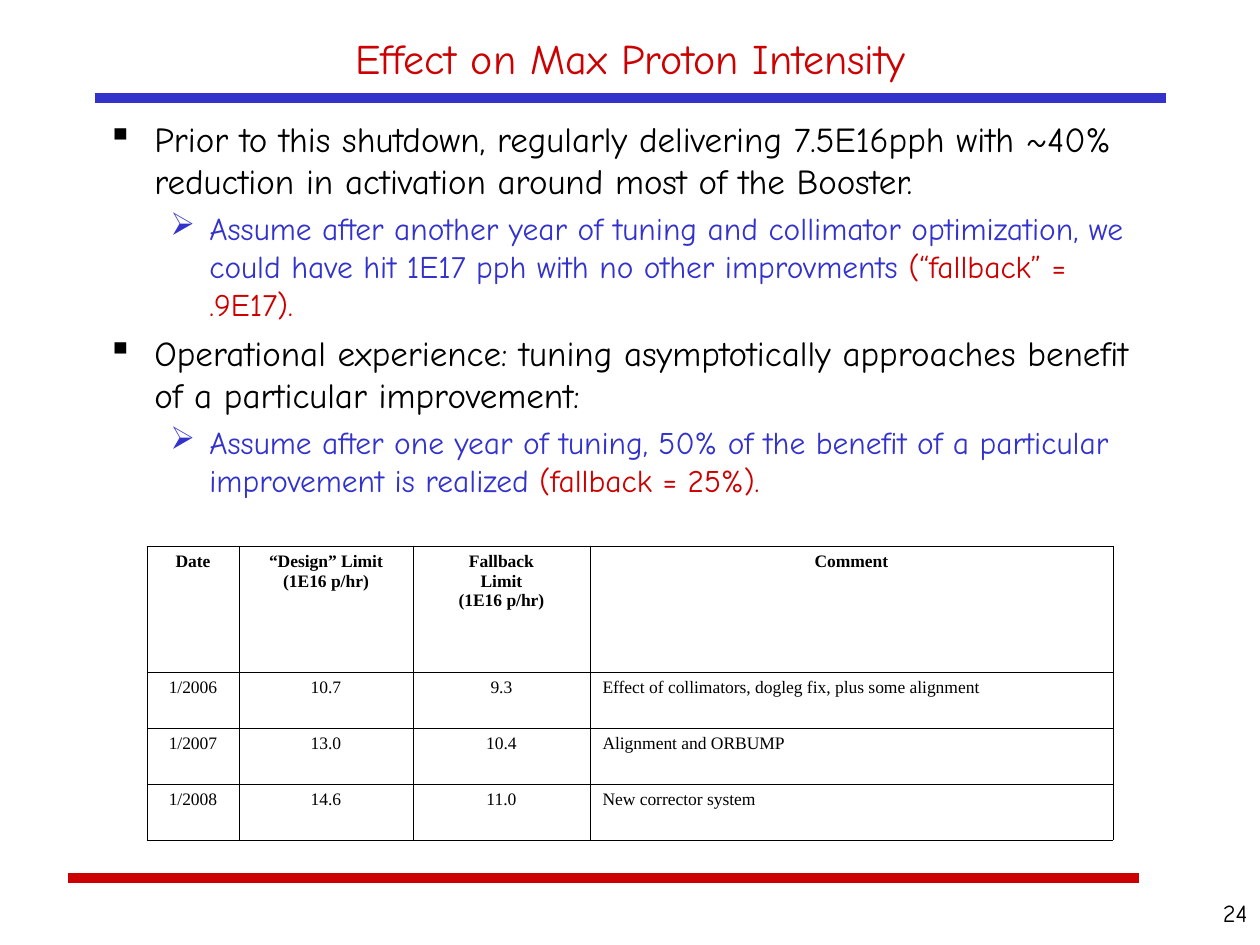
from dataclasses import dataclass

from lxml import etree
from pptx import Presentation
from pptx.dml.color import RGBColor
from pptx.enum.shapes import MSO_CONNECTOR
from pptx.enum.text import MSO_ANCHOR, PP_ALIGN
from pptx.oxml.ns import qn
from pptx.util import Emu, Pt

STRAIGHT = MSO_CONNECTOR.STRAIGHT
MIDDLE = MSO_ANCHOR.MIDDLE
LEFT, CENTER, RIGHT = PP_ALIGN.LEFT, PP_ALIGN.CENTER, PP_ALIGN.RIGHT
EMU_PER_PX = 914400 / 126


@dataclass(frozen=True)
class Theme:
    black: str = "000000"
    blue: str = "3333CC"
    red: str = "CC0000"
    font: str = "Comic Neue"
    table_font: str = "Times New Roman"
    title_size: int = 24
    point_size: int = 20
    detail_size: int = 18
    number_size: int = 14
    table_size: int = 10
    rule_width: int = 6
    border_width: float = 0.45


@dataclass(frozen=True)
class Level:
    bullet: str
    color: str
    size: int
    space_before: float
    indent: int
    hanging: int


@dataclass(frozen=True)
class Point:
    level: Level
    text: str
    fallback: str = ""


@dataclass(frozen=True)
class Rule:
    left: int
    y: int
    color: str


THEME = Theme()
MAIN = Level("▪", THEME.black, THEME.point_size, 5, 47, 47)
DETAIL = Level("➢", THEME.blue, THEME.detail_size, 4.5, 102, 39)

RULE_LENGTH = 1071
RULES = [Rule(68, 878, THEME.red), Rule(95, 98, THEME.blue)]

POINTS = [
    Point(MAIN, "Prior to this shutdown, regularly delivering 7.5E16pph with ~40% "
                "reduction in activation around most of the Booster."),
    Point(DETAIL, "Assume after another year of tuning and collimator optimization, we "
                  "could have hit 1E17 pph with no other improvments ",
          "(“fallback” = .9E17)."),
    Point(MAIN, "Operational experience: tuning asymptotically approaches benefit "
                "of a particular improvement:"),
    Point(DETAIL, "Assume after one year of tuning, 50% of the benefit of a particular "
                  "improvement is realized ", "(fallback = 25%)."),
]

LIMITS = [
    ("Date", "“Design” Limit\n(1E16 p/hr)", "Fallback\nLimit\n(1E16 p/hr)", "Comment"),
    ("1/2006", "10.7", "9.3", "Effect of collimators, dogleg fix, plus some alignment"),
    ("1/2007", "13.0", "10.4", "Alignment and ORBUMP"),
    ("1/2008", "14.6", "11.0", "New corrector system"),
]
COLUMN_WIDTHS = [92, 174, 177, 523]
ROW_HEIGHTS = [126, 56, 56, 56]


def px(length: int) -> Emu:
    return Emu(round(length * EMU_PER_PX))


def style(paragraph, size: int, color: str, font: str = THEME.font,
          bold: bool = False, align=LEFT) -> None:
    paragraph.alignment = align
    paragraph.font.name = font
    paragraph.font.size = Pt(size)
    paragraph.font.bold = bold
    paragraph.font.color.rgb = RGBColor.from_string(color)


def place(shape, left: int, top: int, width: int, height: int) -> None:
    shape.left, shape.top = px(left), px(top)
    shape.width, shape.height = px(width), px(height)


def add_rule(slide, rule: Rule) -> None:
    line = slide.shapes.add_connector(
        STRAIGHT, px(rule.left), px(rule.y), px(rule.left + RULE_LENGTH), px(rule.y))
    line.line.color.rgb = RGBColor.from_string(rule.color)
    line.line.width = Pt(THEME.rule_width)
    etree.SubElement(line._element.spPr, qn("a:effectLst"))


def add_title(slide, text: str) -> None:
    title = slide.shapes.title
    place(title, 95, 21, 1071, 73)
    title.text_frame.vertical_anchor = MIDDLE
    heading = title.text_frame.paragraphs[0]
    heading.text = text
    style(heading, THEME.title_size, THEME.red, align=CENTER)


def add_bullet(paragraph, level: Level) -> None:
    properties = paragraph._p.get_or_add_pPr()
    properties.set("marL", str(px(level.indent)))
    properties.set("indent", str(-px(level.hanging)))
    bullet_color = etree.SubElement(properties, qn("a:buClr"))
    etree.SubElement(bullet_color, qn("a:srgbClr"), val=level.color)
    etree.SubElement(properties, qn("a:buChar"), char=level.bullet)


def add_points(slide, points: list[Point]) -> None:
    body = slide.shapes.add_textbox(px(95), px(111), px(1071), px(436)).text_frame
    body.word_wrap = True
    for index, point in enumerate(points):
        paragraph = body.add_paragraph() if index else body.paragraphs[0]
        add_bullet(paragraph, point.level)
        if index:
            paragraph.space_before = Pt(point.level.space_before)
        style(paragraph, point.level.size, point.level.color)
        paragraph.add_run().text = point.text
        if point.fallback:
            fallback = paragraph.add_run()
            fallback.text = point.fallback
            fallback.font.color.rgb = RGBColor.from_string(THEME.red)


def add_borders(cell) -> None:
    properties = cell._tc.get_or_add_tcPr()
    for index, side in enumerate(("a:lnL", "a:lnR", "a:lnT", "a:lnB")):
        border = etree.Element(qn(side), w=str(Pt(THEME.border_width)))
        fill = etree.SubElement(border, qn("a:solidFill"))
        etree.SubElement(fill, qn("a:srgbClr"), val=THEME.black)
        properties.insert(index, border)


def add_limits_table(slide) -> None:
    table = slide.shapes.add_table(
        len(ROW_HEIGHTS), len(COLUMN_WIDTHS), px(147), px(546),
        px(sum(COLUMN_WIDTHS)), px(sum(ROW_HEIGHTS))).table
    table.first_row = table.horz_banding = False
    for column, width in zip(table.columns, COLUMN_WIDTHS):
        column.width = px(width)
    for row, height in zip(table.rows, ROW_HEIGHTS):
        row.height = px(height)
    for r, values in enumerate(LIMITS):
        for c, value in enumerate(values):
            cell = table.cell(r, c)
            cell.fill.background()
            add_borders(cell)
            entry = cell.text_frame.paragraphs[0]
            entry.text = value
            is_header, is_comment = r == 0, c == len(values) - 1
            style(entry, THEME.table_size, THEME.black, THEME.table_font, is_header,
                  LEFT if is_comment and not is_header else CENTER)


def add_page_number(slide, number: str) -> None:
    frame = slide.shapes.add_textbox(px(1144), px(892), px(116), px(53)).text_frame
    frame.word_wrap = True
    frame.paragraphs[0].text = number
    style(frame.paragraphs[0], THEME.number_size, THEME.black, align=RIGHT)


def main() -> None:
    presentation = Presentation()
    presentation.slide_width, presentation.slide_height = px(1260), px(945)
    slide = presentation.slides.add_slide(presentation.slide_layouts[5])
    for rule in RULES:
        add_rule(slide, rule)
    add_title(slide, "Effect on Max Proton Intensity")
    add_points(slide, POINTS)
    add_limits_table(slide)
    add_page_number(slide, "24")
    presentation.save("out.pptx")


if __name__ == "__main__":
    main()
